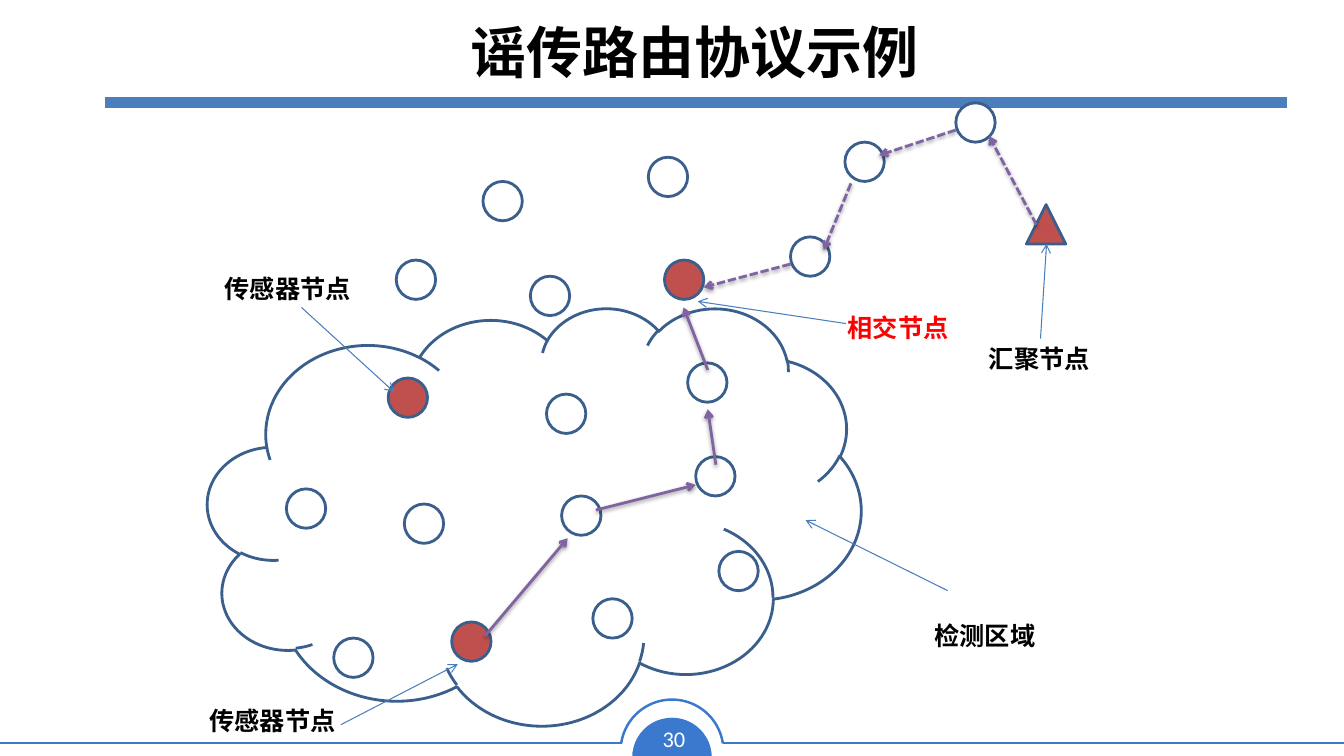
from collections import namedtuple

from lxml.etree import SubElement
from pptx import Presentation
from pptx.dml.color import RGBColor
from pptx.enum.dml import MSO_LINE_DASH_STYLE as Dash
from pptx.enum.shapes import MSO_CONNECTOR as Connector, MSO_SHAPE as Shape
from pptx.enum.text import MSO_ANCHOR as Anchor, PP_ALIGN as Align
from pptx.oxml.ns import qn
from pptx.util import Inches, Pt

Box = namedtuple("Box", "left top width height")

NAVY, BLUE, BRIGHT = "3A5F8C", "4B7EBC", "3B79CE"
RED, PURPLE, WHITE, BLACK = "C0504D", "8064A2", "FFFFFF", "000000"
CJK_FONT = "Noto Sans CJK SC"
NODE_SIZE = 0.39

PLAIN_NODES = [
    (3.26, 1.74), (5.84, 1.35), (6.38, 0.41), (7.48, 0.02),
    (1.31, 5.33), (4.82, 2.6), (3.42, 2.91), (0.84, 3.85),
    (2.01, 4), (3.88, 4.94), (3.57, 3.92), (5.13, 4.47),
    (4.9, 3.53), (1.93, 1.58), (4.43, 0.56), (2.79, 0.8),
]
RED_NODES = [(2.48, 5.17), (1.85, 2.75), (4.59, 1.58)]
EVENT_PATH = [
    ((2.81, 5.31), (3.63, 4.34)),
    ((3.91, 4.06), (4.9, 3.81)),
    ((5.1, 3.61), (5.02, 3.06)),
    ((5.02, 2.67), (4.78, 2.05)),
]
QUERY_PATH = [
    ((8.28, 1.23), (7.81, 0.35)),
    ((7.48, 0.29), (6.72, 0.54)),
    ((6.44, 0.82), (6.17, 1.48)),
    ((5.84, 1.62), (4.98, 1.85)),
]
CALLOUTS = [
    ("相交节点", (6.31, 2.05), "FF0000", (6.39, 2.21), (4.92, 1.99)),
    ("传感器节点", (0.13, 1.66), BLACK, (0.99, 2.05), (1.91, 2.89)),
    ("传感器节点", (-0.02, 5.95), BLACK, (1.38, 6.19), (2.54, 5.59)),
    ("检测区域", (7.17, 5.1), BLACK, (7.4, 4.86), (5.99, 4.16)),
]


def color(value):
    return RGBColor.from_string(value)


def write(text_frame, text, size, font_name, text_color, bold, alignment):
    paragraph = text_frame.paragraphs[0]
    paragraph.alignment = alignment
    run = paragraph.add_run()
    run.text = text
    formats = {"size": Pt(size), "name": font_name, "bold": bold}
    for name, value in formats.items():
        setattr(run.font, name, value)
    run.font.color.rgb = color(text_color)
    SubElement(run.font._element, qn("a:ea"), typeface=CJK_FONT)


def add_text(slide, box, text, size, font_name, text_color, bold, alignment):
    shape = slide.shapes.add_textbox(*map(Inches, box))
    shape.text_frame.word_wrap = False
    write(shape.text_frame, text, size, font_name, text_color, bold, alignment)
    return shape


def add_outline(slide, kind, box, fill, line_color, width=2):
    shape = slide.shapes.add_shape(kind, *map(Inches, box))
    shape.shadow.inherit = False
    if fill:
        shape.fill.solid()
        shape.fill.fore_color.rgb = color(fill)
    else:
        shape.fill.background()
    if line_color:
        shape.line.color.rgb = color(line_color)
        shape.line.width = Pt(width)
    else:
        shape.line.fill.background()
    return shape


def add_line(slide, start, end, line_color, width, arrow=False, dashed=False, shadow=False):
    connector = slide.shapes.add_connector(
        Connector.STRAIGHT, *map(Inches, (*start, *end)))
    connector.line.color.rgb = color(line_color)
    connector.line.width = Pt(width)
    if dashed:
        connector.line.dash_style = Dash.SQUARE_DOT
    properties = connector._element.spPr
    if arrow:
        SubElement(properties.find(qn("a:ln")), qn("a:tailEnd"), type="arrow")
    effects = SubElement(properties, qn("a:effectLst"))
    if shadow:
        outer = SubElement(
            effects, qn("a:outerShdw"), blurRad=str(Pt(3.1)), dist=str(Pt(1.6)),
            dir="5400000", rotWithShape="0")
        shade = SubElement(outer, qn("a:srgbClr"), val=BLACK)
        SubElement(shade, qn("a:alpha"), val="38000")
    return connector


def add_footer(slide, box):
    center = box.left + box.width / 2
    middle = box.top + 0.51
    baseline = box.top + 0.43
    disc = add_outline(
        slide, Shape.CHORD, (center - 0.395, middle - 0.33, 0.79, 0.79), BRIGHT, None)
    disc.rotation = 112.4
    arc = add_outline(
        slide, Shape.ARC, (center - 0.51, box.top, 1.02, 1.02), None, BRIGHT, 1.77)
    for shape, angles in ((disc, (35.772, 153.29)), (arc, (113.17, 210.975))):
        for index, angle in enumerate(angles):
            shape.adjustments[index] = angle
    for start, end in ((box.left, center - 0.5), (center + 0.51, box.left + box.width)):
        add_line(slide, (start, baseline), (end, baseline), BRIGHT, 1.77)
    add_text(slide, (center - 0.21, box.top + 0.2, 0.46, 0.37),
             "30", 16, "Calibri", WHITE, False, Align.CENTER)


def add_title(slide, box):
    title = slide.shapes.title
    for name, value in box._asdict().items():
        setattr(title, name, Inches(value))
    title.text_frame.vertical_anchor = Anchor.MIDDLE
    write(title.text_frame, "谣传路由协议示例", 40, CJK_FONT, BLACK, True, Align.CENTER)
    rule = box.top + 0.97
    add_line(slide, (box.left, rule), (box.left + 11.72, rule), BLUE, 8)


def add_diagram(slide, box):
    def place(point):
        return box.left + point[0], box.top + point[1]

    def add_node(kind, point, fill):
        add_outline(slide, kind, (*place(point), NODE_SIZE, NODE_SIZE), fill, NAVY)

    def add_label(text, point, text_color):
        width = 0.22 + 0.25 * len(text)
        return add_text(slide, (*place(point), width, 0.4),
                        text, 18, "Arial", text_color, True, Align.LEFT)

    add_outline(slide, Shape.CLOUD, (*place((0.06, 2.05)), 6.48, 4.14), WHITE, NAVY)
    for nodes, fill in ((PLAIN_NODES, WHITE), (RED_NODES, RED)):
        for point in nodes:
            add_node(Shape.OVAL, point, fill)
    add_node(Shape.ISOSCELES_TRIANGLE, (8.18, 1.03), RED)

    for hops, dashed in ((EVENT_PATH, False), (QUERY_PATH, True)):
        for start, end in hops:
            add_line(slide, place(start), place(end), PURPLE, 2,
                     arrow=True, dashed=dashed, shadow=True)

    for text, point, text_color, start, end in CALLOUTS:
        add_line(slide, place(start), place(end), BLUE, 0.75, arrow=True)
        add_label(text, point, text_color)
    sink_label = add_label("汇聚节点", (7.71, 2.36), BLACK)
    sink_arrow = add_line(slide, place((8.32, 2.36)), place((8.38, 1.42)),
                          BLUE, 0.75, arrow=True)
    sink_arrow.begin_connect(sink_label, 0)


def main():
    presentation = Presentation()
    presentation.slide_width = Inches(13.33)
    presentation.slide_height = Inches(7.5)
    slide = presentation.slides.add_slide(presentation.slide_layouts[5])
    add_footer(slide, Box(0, 6.94, 13.33, 0.56))
    add_title(slide, Box(1.04, 0.05, 11.69, 0.92))
    add_diagram(slide, Box(2, 1, 9, 6.35))
    presentation.save("out.pptx")


if __name__ == "__main__":
    main()
